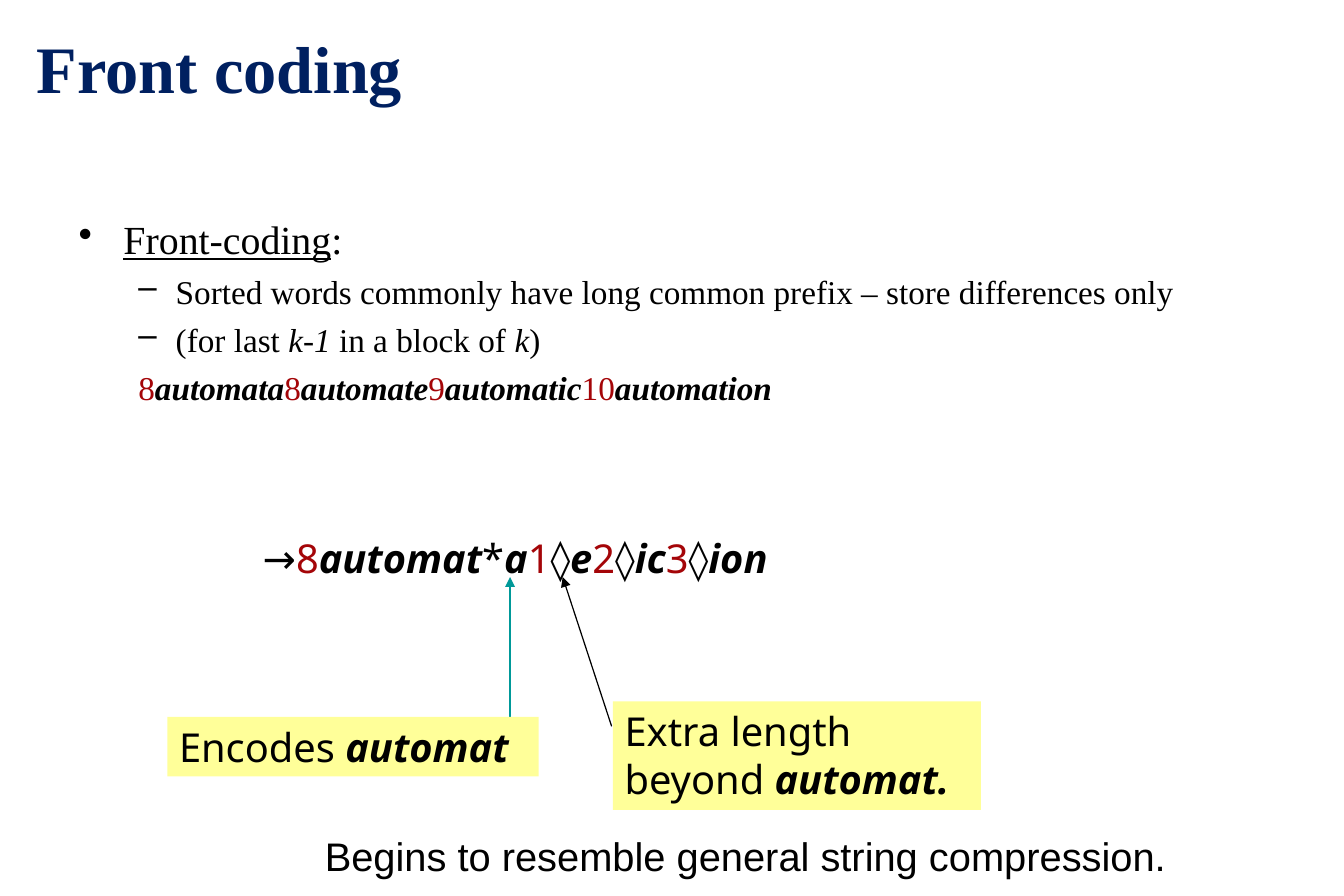
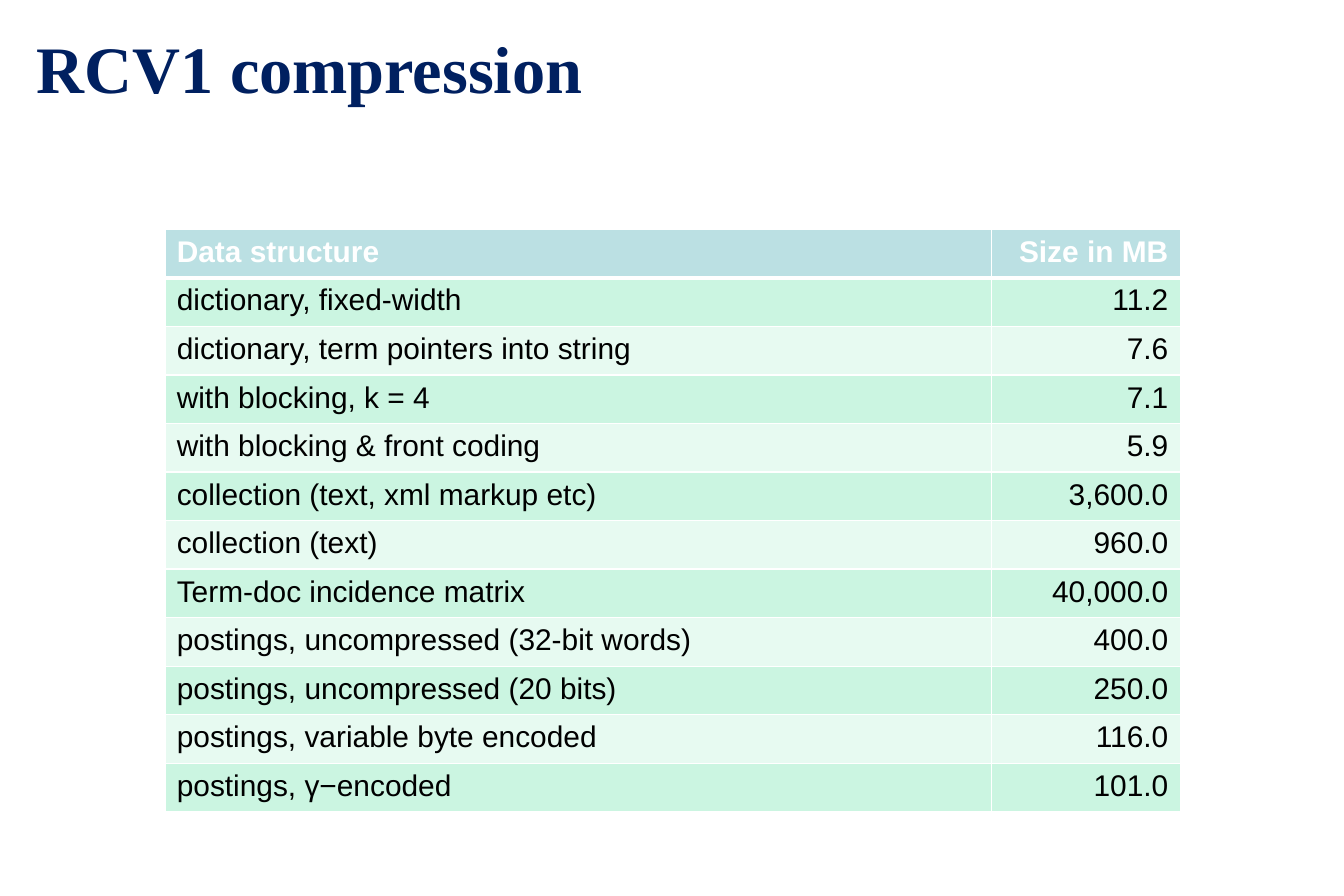
import pptx
import pptx.dml.color
import pptx.enum.shapes
import pptx.enum.text
import pptx.oxml
import pptx.oxml.ns
import pptx.util

# Shared format
RGBColor = pptx.dml.color.RGBColor
NAVY = RGBColor(0x00, 0x20, 0x60)
BLACK = RGBColor(0x00, 0x00, 0x00)
WHITE = RGBColor(0xFF, 0xFF, 0xFF)
RED = RGBColor(0xA4, 0x05, 0x08)
TEAL = RGBColor(0x00, 0x99, 0x99)
YELLOW = RGBColor(0xFF, 0xFF, 0x99)
HEADER = RGBColor(0xBB, 0xE0, 0xE3)
BANDS = [RGBColor(0xCB, 0xF5, 0xE1), RGBColor(0xE7, 0xFA, 0xF1)]
SERIF, SANS, ARIAL = "Times New Roman", "Noto Sans", "Arial"

PLAIN = {}
TERM = {"bold": True, "italic": True}
COUNT = {"color": RED}
ITALIC = {"italic": True}
UNDERLINE = {"underline": True}
TITLE = {"name": SERIF, "size": pptx.util.Pt(40), "color": NAVY, "bold": True}
BODY = {"name": SERIF, "size": pptx.util.Pt(20), "color": BLACK}
LABEL = {"name": SANS, "size": pptx.util.Pt(24), "color": BLACK}
REMARK = {**LABEL, "name": ARIAL}
CELL_TEXT = {"name": ARIAL, "size": pptx.util.Pt(18), "color": BLACK}
CELL_HEAD = {**CELL_TEXT, "color": WHITE, "bold": True}

presentation = pptx.Presentation()
presentation.slide_width = pptx.util.Inches(11.25)
presentation.slide_height = pptx.util.Inches(7.5)
GRID = presentation.slide_width / 225  # square grid, 225 columns by 150 rows
NAMESPACE = 'xmlns:a="http://schemas.openxmlformats.org/drawingml/2006/main"'


def write_runs(paragraph, runs, base):
    for text, style in runs:
        run = paragraph.add_run()
        run.text = text
        for name, value in {**base, **style}.items():
            if name == "color":
                run.font.color.rgb = value
            else:
                setattr(run.font, name, value)


def add_text(slide, box, paragraphs, base, fill=None):
    shape = slide.shapes.add_textbox(*[round(n * GRID) for n in box])
    shape.text_frame.word_wrap = True
    shape.text_frame.margin_right = 0
    if fill is not None:
        shape.fill.solid()
        shape.fill.fore_color.rgb = fill
    for index, runs in enumerate(paragraphs):
        if index:
            shape.text_frame.add_paragraph()
        write_runs(shape.text_frame.paragraphs[index], runs, base)
    return shape


# Slides and their titles
slides = []
for title in ["Front coding", "RCV1 compression"]:
    slide = presentation.slides.add_slide(presentation.slide_layouts[6])
    heading = add_text(slide, (4.2, 3.4, 179.6, 15.6), [[(title, PLAIN)]], TITLE)
    heading.text_frame.vertical_anchor = pptx.enum.text.MSO_ANCHOR.MIDDLE
    slides.append(slide)
coding_slide, size_slide = slides

# Front coding: bulleted text
word_runs = []
for word in ["automata", "automate", "automatic", "automation"]:
    word_runs += [(str(len(word)), COUNT), (word, TERM)]
large = {"size": pptx.util.Pt(24)}
body = add_text(coding_slide, (11.2, 35, 202.4, 99), [
    [("Front-coding", {**large, **UNDERLINE}), (":", large)],
    [("Sorted words commonly have long common prefix – store differences only", PLAIN)],
    [("(for last ", PLAIN), ("k-1", ITALIC), (" in a block of ", PLAIN),
     ("k", ITALIC), (")", PLAIN)],
    word_runs,
], BODY)
bullets = [("•", 7.5, 7.5), ("–", 16.25, 6.25), ("–", 16.25, 6.25), (None, 16.25, 6.25)]
for paragraph, (bullet, margin, hanging) in zip(body.text_frame.paragraphs, bullets):
    paragraph.space_before = pptx.util.Pt(5)
    properties = paragraph._p.get_or_add_pPr()
    properties.set("marL", str(round(margin * GRID)))
    properties.set("indent", str(round(-hanging * GRID)))
    mark = f'<a:buChar {NAMESPACE} char="{bullet}"/>' if bullet else f"<a:buNone {NAMESPACE}/>"
    properties.append(pptx.oxml.parse_xml(mark))

# Front coding: encoded block
encoded = [("→", PLAIN), ("8", COUNT), ("automat", TERM), ("*", PLAIN), ("a", TERM)]
for ending in ["e", "ic", "ion"]:
    encoded += [(str(len(ending)), COUNT), ("◊", PLAIN), (ending, TERM)]
add_text(coding_slide, (42, 88.4, 94.6, 10.2), [encoded], LABEL)

# Front coding: arrows below their labels
for start, end, color, width in [(85.4, 85.4, TEAL, 1), (102.4, 94.2, BLACK, 0.75)]:
    arrow = coding_slide.shapes.add_connector(
        pptx.enum.shapes.MSO_CONNECTOR.STRAIGHT,
        *[round(n * GRID) for n in (start, 121.6, end, 96.6)])
    arrow.line.color.rgb = color
    arrow.line.width = pptx.util.Pt(width)
    arrow.line._get_or_add_ln().append(
        pptx.oxml.parse_xml(f'<a:tailEnd {NAMESPACE} type="triangle"/>'))
    arrow._element.spPr.append(pptx.oxml.parse_xml(f"<a:effectLst {NAMESPACE}/>"))

# Front coding: labels and closing remark
add_text(coding_slide, (28, 120, 62.2, 10),
         [[("Encodes ", PLAIN), ("automat", TERM)]], LABEL, YELLOW)
add_text(coding_slide, (102.6, 117.4, 61.6, 18.2),
         [[("Extra length", PLAIN)], [("beyond ", PLAIN), ("automat.", TERM)]], LABEL, YELLOW)
add_text(coding_slide, (52.4, 138.2, 145, 10),
         [[("Begins to resemble general string compression.", PLAIN)]], REMARK)

# RCV1 compression: table of sizes
rows = [
    ("Data structure", "Size in MB"),
    ("dictionary, fixed-width", "11.2"),
    ("dictionary, term pointers into string", "7.6"),
    ("with blocking, k = 4", "7.1"),
    ("with blocking & front coding", "5.9"),
    ("collection (text, xml markup etc)", "3,600.0"),
    ("collection (text)", "960.0"),
    ("Term-doc incidence matrix", "40,000.0"),
    ("postings, uncompressed (32-bit words)", "400.0"),
    ("postings, uncompressed (20 bits)", "250.0"),
    ("postings, variable byte encoded", "116.0"),
    ("postings, γ−encoded", "101.0"),
]
table = size_slide.shapes.add_table(
    len(rows), 2, *[round(n * GRID) for n in (27.6, 38.4, 170, 97.6)]).table
for column, width in zip(table.columns, (138.4, 31.6)):
    column.width = round(width * GRID)
alignments = [pptx.enum.text.PP_ALIGN.LEFT, pptx.enum.text.PP_ALIGN.RIGHT]
for row, texts in enumerate(rows):
    for column, text in enumerate(texts):
        cell = table.cell(row, column)
        cell.fill.solid()
        cell.fill.fore_color.rgb = BANDS[(row - 1) % 2] if row else HEADER
        paragraph = cell.text_frame.paragraphs[0]
        paragraph.alignment = alignments[column]
        write_runs(paragraph, [(text, PLAIN)], CELL_TEXT if row else CELL_HEAD)
        # White borders, heavier between the header and the first row
        borders = {"lnL": 1, "lnR": 1, "lnT": 3 if row == 1 else 1, "lnB": 1 if row else 3}
        for index, (side, points) in enumerate(borders.items()):
            cell._tc.get_or_add_tcPr().insert(index, pptx.oxml.parse_xml(
                f'<a:{side} {NAMESPACE} w="{pptx.util.Pt(points)}"><a:solidFill>'
                f'<a:srgbClr val="{WHITE}"/></a:solidFill></a:{side}>'))

presentation.save("out.pptx")
